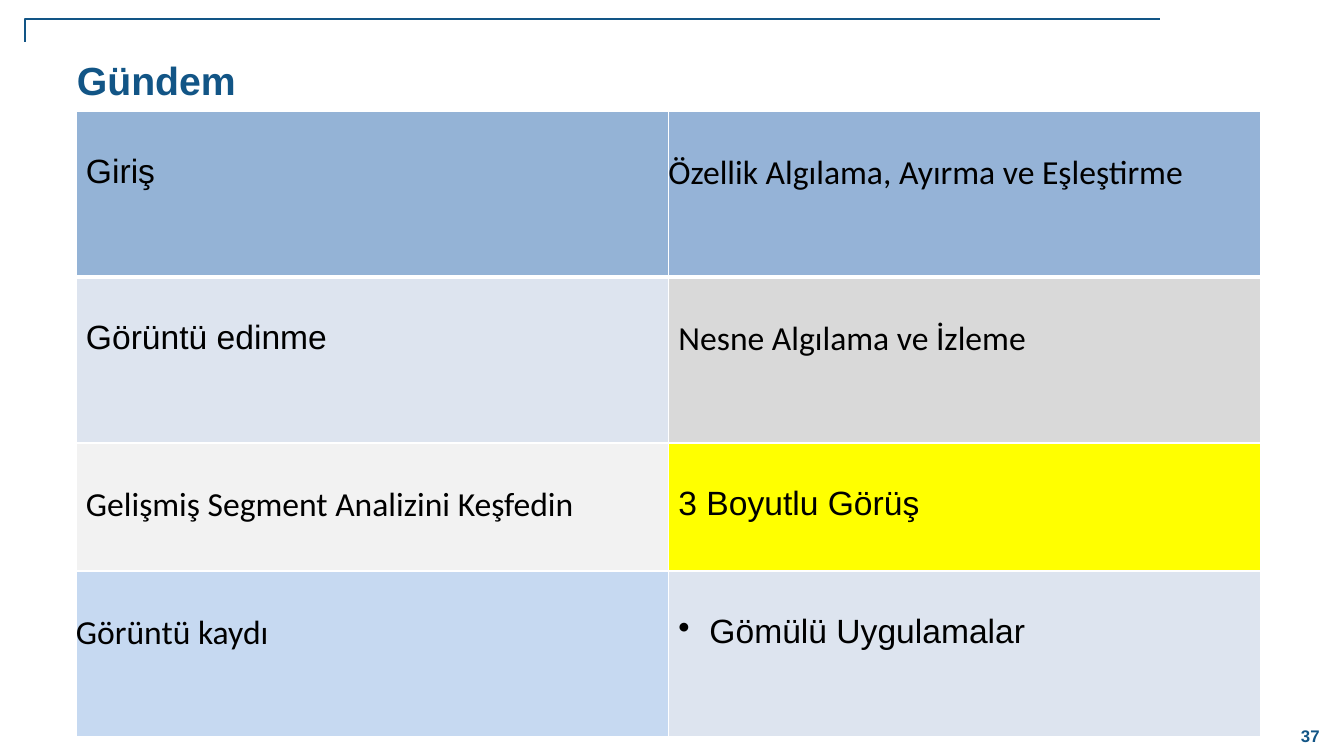
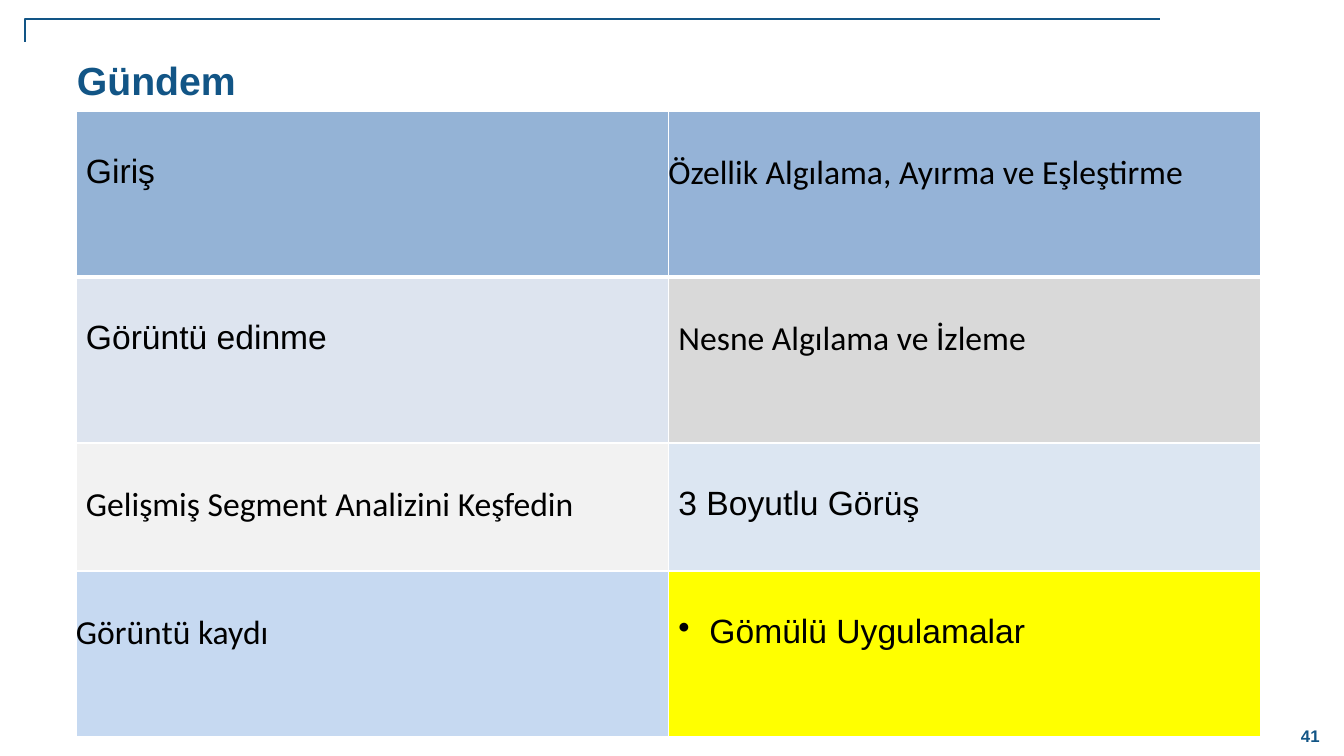
from collections import namedtuple

from lxml.etree import SubElement
from pptx import Presentation
from pptx.dml.color import RGBColor
from pptx.enum.text import MSO_ANCHOR as Anchor, MSO_AUTO_SIZE as AutoSize, PP_ALIGN as Align
from pptx.oxml import parse_xml
from pptx.oxml.ns import nsdecls, qn
from pptx.util import Emu, Pt

EMU_PER_PX = 914400 / 100.8
NAVY, BLACK, WHITE, HIGHLIGHT = "125586", "000000", "FFFFFF", "FFFF00"
TITLE_ONLY = 5
TEXT_TOP = 42

Topic = namedtuple("Topic", "text font fill indent bullet", defaults=(10, False))
TOPICS = [
    [Topic("Giriş", "Arial", "94B3D6"),
     Topic("Özellik Algılama, Ayırma ve Eşleştirme", "Calibri", "95B3D7", 0)],
    [Topic("Görüntü edinme", "Arial", "DDE4EF"),
     Topic("Nesne Algılama ve İzleme", "Calibri", "D9D9D9")],
    [Topic("Gelişmiş Segment Analizini Keşfedin", "Calibri", "F2F2F2"),
     Topic("3 Boyutlu Görüş", "Arial", "DCE6F2")],
    [Topic("Görüntü kaydı", "Calibri", "C6D9F1", 0),
     Topic("Gömülü Uygulamalar", "Arial", "DDE4EF", 41, True)],
]
ROW_HEIGHTS = [166, 166, 128, 166]
AGENDAS = [("37", "3 Boyutlu Görüş"), ("41", "Gömülü Uygulamalar")]


def px(length):
    return Emu(round(length * EMU_PER_PX))


def color(value):
    return RGBColor.from_string(value)


def style_font(paragraph, name, size, value, bold=False):
    font = paragraph.font
    font.name, font.size, font.bold = name, Pt(size), bold
    font.color.rgb = color(value)


def set_margins(target, left=0, top=0):
    target.margin_left, target.margin_top = px(left), px(top)
    target.margin_right = target.margin_bottom = 0


def add_corner_line(slide, left, top, width, height):
    outline = slide.shapes.build_freeform(left + width, top, scale=EMU_PER_PX)
    outline.add_line_segments([(left, top), (left, top + height)], close=False)
    corner = outline.convert_to_shape()
    corner.shadow.inherit = False
    corner.fill.background()
    corner.line.color.rgb = color(NAVY)
    corner.line.width = Pt(0.96)


def fill_title(slide, text, left, top, width, height):
    title = slide.shapes.title
    title.left, title.top, title.width, title.height = map(px, (left, top, width, height))
    frame = title.text_frame
    frame.text = text
    frame.auto_size = AutoSize.NONE
    frame.vertical_anchor = Anchor.TOP
    set_margins(frame, 1, 1)
    heading = frame.paragraphs[0]
    heading.alignment = Align.LEFT
    style_font(heading, "Arial", 28, NAVY, True)


def add_page_number(slide, number, left, top, width, height):
    frame = slide.shapes.add_textbox(*map(px, (left, top, width, height))).text_frame
    frame.word_wrap = True
    set_margins(frame, 4)
    page = frame.paragraphs[0]
    page.text = number
    page.line_spacing = Pt(14.2)
    style_font(page, "Arial", 12, NAVY, True)


def set_borders(cell, widths):
    properties = cell._tc.get_or_add_tcPr()
    for position, (side, width) in enumerate(zip("LRTB", widths)):
        properties.insert(position, parse_xml(
            f'<a:ln{side} {nsdecls("a")} w="{Pt(width)}"><a:solidFill>'
            f'<a:srgbClr val="{WHITE}"/></a:solidFill></a:ln{side}>'))


def fill_topic(cell, topic, highlighted):
    cell.fill.solid()
    cell.fill.fore_color.rgb = color(HIGHLIGHT if highlighted else topic.fill)
    cell.vertical_anchor = Anchor.TOP
    set_margins(cell, 0, TEXT_TOP)
    entry = cell.text_frame.paragraphs[0]
    entry.text = topic.text
    indents = entry._p.get_or_add_pPr()
    indents.set("marL", str(px(topic.indent)))
    if topic.bullet:
        indents.set("indent", str(px(-31)))
        SubElement(indents, qn("a:buChar"), char="•")
    style_font(entry, topic.font, 24, BLACK)


def add_topic_grid(slide, current, left, top, width):
    grid = slide.shapes.add_table(
        len(TOPICS), 2, *map(px, (left, top, width, sum(ROW_HEIGHTS)))).table
    for row_index, (topics, height) in enumerate(zip(TOPICS, ROW_HEIGHTS)):
        grid.rows[row_index].height = px(height)
        above = 3 if row_index == 1 else 1
        below = 3 if row_index == 0 else 1
        for column_index, topic in enumerate(topics):
            cell = grid.cell(row_index, column_index)
            fill_topic(cell, topic, topic.text == current)
            set_borders(cell, (1, 1, above, below))


def add_agenda(deck, number, current):
    slide = deck.slides.add_slide(deck.slide_layouts[TITLE_ONLY])
    add_corner_line(slide, 25, 19, 1135, 23)
    fill_title(slide, "Gündem", 76, 55, 210, 49)
    add_page_number(slide, number, 1297, 726, 27, 21)
    add_topic_grid(slide, current, 76, 111, 1185)


def main():
    deck = Presentation()
    deck.slide_width, deck.slide_height = px(1344), px(756)
    for number, current in AGENDAS:
        add_agenda(deck, number, current)
    deck.save("out.pptx")


if __name__ == "__main__":
    main()
